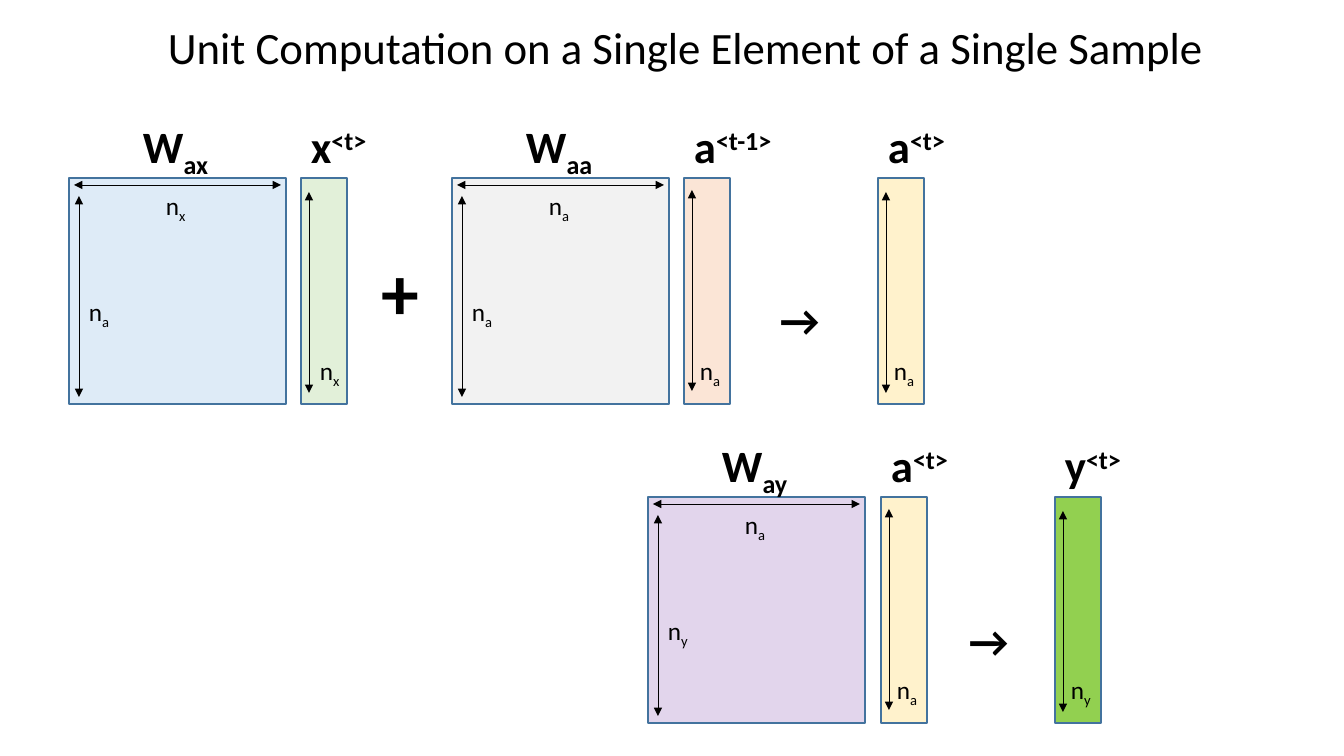
import pptx
import pptx.util
import pptx.dml.color
import pptx.enum.shapes
import pptx.enum.text
import pptx.oxml
import pptx.oxml.ns
import lxml.etree

EMU_PER_PX = 914400 / 100.8
COLOURS = {
    "ink": "000000", "outline": "43739E",
    "blue": "DEEBF7", "light green": "E2F0D9", "grey": "F2F2F2",
    "orange": "FBE5D6", "yellow": "FFF2CC", "purple": "7030A0", "green": "92D050",
}
SUBSCRIPT, SUPERSCRIPT = -25000, 30000
MATRIX_WIDTH, VECTOR_WIDTH, HEIGHT = 217, 46, 226
TOP_ROW, BOTTOM_ROW = 178, 497


def px(length):
    return pptx.util.Emu(round(length * EMU_PER_PX))


def colour(name):
    return pptx.dml.color.RGBColor.from_string(COLOURS[name])


class Diagram:
    font = "Calibri"
    heading_size, label_size, operator_size = 32, 18, 54

    def __init__(self, slide):
        self.slide = slide

    def text(self, left, top, width, height, runs, size, bold=False):
        """Place one line of text; runs are (words, baseline shift) pairs."""
        box = self.slide.shapes.add_textbox(px(left), px(top), px(width), px(height))
        frame = box.text_frame
        frame.word_wrap = False
        frame.auto_size = pptx.enum.text.MSO_AUTO_SIZE.SHAPE_TO_FIT_TEXT
        paragraph = frame.paragraphs[0]
        for words, baseline in runs:
            run = paragraph.add_run()
            run.text = words
            run.font.name = self.font
            run.font.size = pptx.util.Pt(size)
            run.font.bold = bold
            run.font.color.rgb = colour("ink")
            if baseline:
                run.font._element.set("baseline", str(baseline))

    def heading(self, left, top, width, symbol, index, baseline):
        self.text(left, top - 64, width, 64, [(symbol, 0), (index, baseline)],
                  self.heading_size, bold=True)

    def size_label(self, left, top, index):
        self.text(left, top, 42, 40, [("n", 0), (index, SUBSCRIPT)], self.label_size)

    def block(self, left, top, width, fill, opacity=100):
        shape = self.slide.shapes.add_shape(
            pptx.enum.shapes.MSO_SHAPE.RECTANGLE, px(left), px(top), px(width), px(HEIGHT))
        shape.shadow.inherit = False
        shape.fill.solid()
        shape.fill.fore_color.rgb = colour(fill)
        shape.line.color.rgb = colour("outline")
        shape.line.width = pptx.util.Pt(1)
        if opacity < 100:
            value = shape._element.spPr.find(".//" + pptx.oxml.ns.qn("a:srgbClr"))
            alpha = lxml.etree.SubElement(value, pptx.oxml.ns.qn("a:alpha"))
            alpha.set("val", str(opacity * 1000))

    def double_arrow(self, x1, y1, x2, y2):
        arrow = self.slide.shapes.add_connector(
            pptx.enum.shapes.MSO_CONNECTOR.STRAIGHT, px(x1), px(y1), px(x2), px(y2))
        arrow.line.color.rgb = colour("ink")
        arrow.line.width = pptx.util.Pt(0.5)
        line = arrow.line._get_or_add_ln()
        for end in ("a:headEnd", "a:tailEnd"):
            lxml.etree.SubElement(line, pptx.oxml.ns.qn(end)).set("type", "triangle")
        lxml.etree.SubElement(arrow._element.spPr, pptx.oxml.ns.qn("a:effectLst"))

    def matrix(self, left, top, fill, index, rows, columns, opacity=100):
        self.block(left, top, MATRIX_WIDTH, fill, opacity)
        self.double_arrow(left + 10, top + 18, left + 10, top + 219)
        self.double_arrow(left + 212, top + 7, left + 5, top + 7)
        self.size_label(left + 10, top + 113, rows)
        self.size_label(left + 87, top + 7, columns)
        self.heading(left + 64, top, 88, "W", index, SUBSCRIPT)

    def vector(self, left, top, fill, symbol, step, size,
               heading_width=82, arrow_inset=14, label_inset=6):
        self.block(left, top, VECTOR_WIDTH, fill)
        arrow_top = top + arrow_inset
        self.double_arrow(left + 8, arrow_top, left + 8, arrow_top + 201)
        self.size_label(left + label_inset, top + 172, size)
        self.heading(left, top, heading_width, symbol, step, SUPERSCRIPT)

    def operator(self, left, top, width, height, symbol, baseline=0):
        self.text(left, top, width, height, [(symbol, baseline)],
                  self.operator_size, bold=True)


def main():
    presentation = pptx.Presentation()
    presentation.slide_width, presentation.slide_height = px(1344), px(756)
    diagram = Diagram(presentation.slides.add_slide(presentation.slide_layouts[6]))

    diagram.text(158, 15, 1067, 65,
                 [("Unit Computation on a Single Element of a Single Sample", 0)],
                 diagram.heading_size)

    diagram.matrix(69, TOP_ROW, "blue", "ax", rows="a", columns="x")
    diagram.vector(301, TOP_ROW, "light green", "x", "<t>", "x", label_inset=9)
    diagram.operator(372, 240, 58, 102, "+")
    diagram.matrix(452, TOP_ROW, "grey", "aa", rows="a", columns="a")
    diagram.vector(684, TOP_ROW, "orange", "a", "<t-1>", "a",
                   heading_width=108, arrow_inset=12)
    diagram.operator(770, 237, 71, 72, "→", SUBSCRIPT)
    diagram.vector(878, TOP_ROW, "yellow", "a", "<t>", "a")

    diagram.matrix(648, BOTTOM_ROW, "purple", "ay", rows="y", columns="a", opacity=20)
    diagram.vector(881, BOTTOM_ROW, "yellow", "a", "<t>", "a", arrow_inset=12)
    diagram.operator(959, 558, 71, 72, "→", SUBSCRIPT)
    diagram.vector(1055, BOTTOM_ROW, "green", "y", "<t>", "y")

    presentation.save("out.pptx")


if __name__ == "__main__":
    main()
